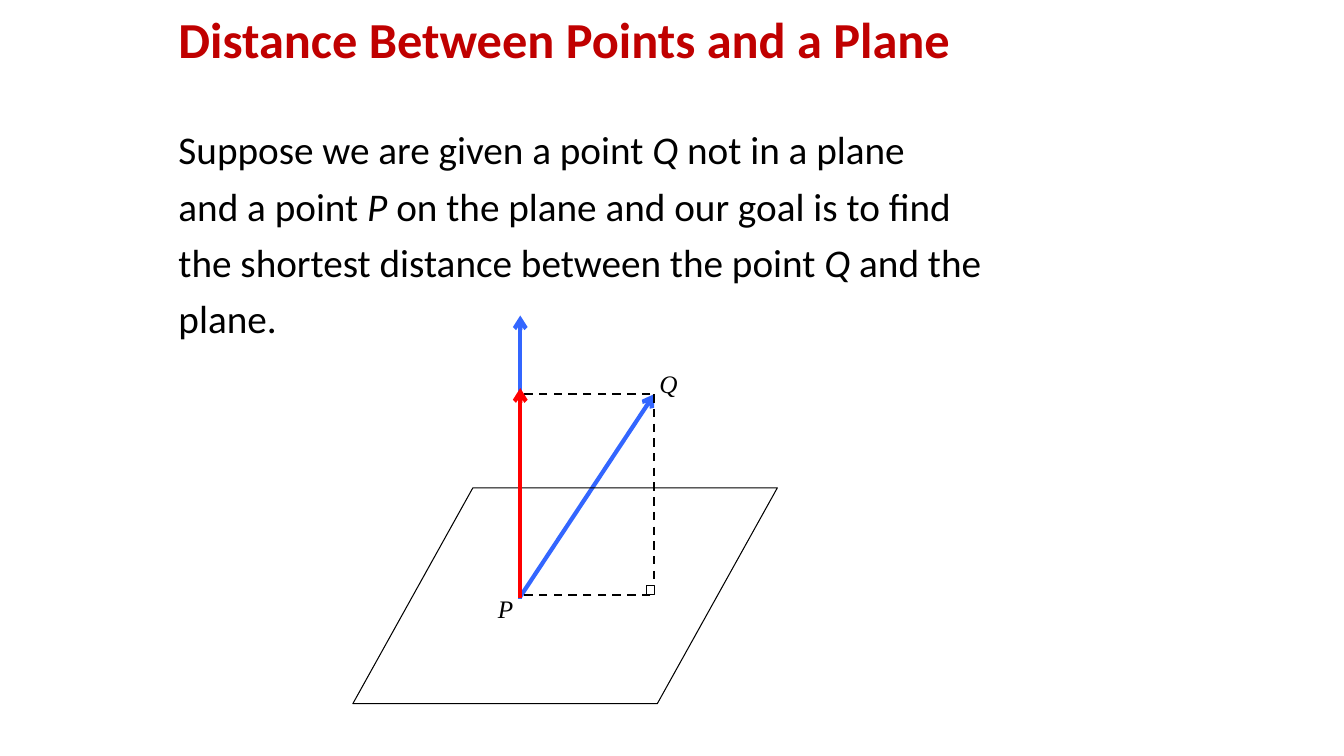
from lxml import etree
from pptx import Presentation
from pptx.dml.color import RGBColor
from pptx.enum.dml import MSO_LINE
from pptx.enum.shapes import MSO_CONNECTOR, MSO_SHAPE
from pptx.enum.text import MSO_ANCHOR, MSO_AUTO_SIZE, PP_ALIGN
from pptx.oxml.ns import qn
from pptx.util import Inches, Pt

TITLE = "Distance Between Points and a Plane"
# Each line is a list of (text, is a point name)
BODY = [
    [("Suppose we are given a point ", False), ("Q", True), (" not in a plane", False)],
    [("and a point ", False), ("P", True), (" on the plane and our goal is to find", False)],
    [("the shortest distance between the point ", False), ("Q", True), (" and the", False)],
    [("plane.", False)],
]
BLACK, WHITE, RED, BLUE, DARK_RED = "000000", "FFFFFF", "FF0000", "3366FF", "C00000"

P_X, P_Y = 5.16, 5.92
Q_X, Q_Y = 6.49, 3.91
DASH_END_X = 6.45
PLANE = (3.5, 4.84, 4.21, 2.14)
RIGHT_ANGLE = (6.41, 5.81, 0.08, 0.09)
POINT_LABELS = [("P", (4.84, 5.84, 0.21, 0.3)), ("Q", (6.44, 3.61, 0.32, 0.3))]


def color(hex_string):
    return RGBColor.from_string(hex_string)


def inches(values):
    return [Inches(value) for value in values]


def place(shape, box):
    shape.left, shape.top, shape.width, shape.height = inches(box)


def style_font(font, name, size, hex_string):
    font.name, font.size = name, Pt(size)
    font.color.rgb = color(hex_string)


def add_line(start, end, hex_string, width):
    line = diagram.add_connector(MSO_CONNECTOR.STRAIGHT, *inches(start + end))
    line.line.color.rgb = color(hex_string)
    line.line.width = Pt(width)
    etree.SubElement(line._element.spPr, qn("a:effectLst"))
    return line


def add_vector(start, end, hex_string):
    vector = add_line(start, end, hex_string, 3)
    etree.SubElement(vector.line._get_or_add_ln(), qn("a:tailEnd"), type="arrow")


def add_dashed(start, end):
    add_line(start, end, BLACK, 1.5).line.dash_style = MSO_LINE.DASH


def add_outline(preset, box):
    outline = diagram.add_shape(preset, *inches(box))
    outline.shadow.inherit = False
    outline.fill.background()
    outline.line.color.rgb = color(BLACK)
    outline.line.width = Pt(0.75)
    return outline


prs = Presentation()
prs.slide_width, prs.slide_height = Inches(13.33), Inches(7.5)
slide = prs.slides.add_slide(prs.slide_layouts[1])

title = slide.shapes.title
place(title, (1.67, 0, 10, 0.83))
title.text_frame.text = TITLE
title.text_frame.vertical_anchor = MSO_ANCHOR.MIDDLE
title.text_frame.auto_size = MSO_AUTO_SIZE.NONE
heading = title.text_frame.paragraphs[0]
heading.alignment = PP_ALIGN.LEFT
heading.line_spacing = 0.9
style_font(heading.font, "Calibri", 36, DARK_RED)
heading.font.bold = True

body = slide.placeholders[1]
place(body, (1.67, 1.25, 10, 6.25))
body.text_frame.auto_size = MSO_AUTO_SIZE.NONE
for index, line_parts in enumerate(BODY):
    paragraph = body.text_frame.paragraphs[0] if index == 0 else body.text_frame.add_paragraph()
    paragraph.line_spacing = 0.9
    paragraph.space_before = Pt(10)
    style_font(paragraph.font, "Calibri", 28, BLACK)
    properties = paragraph._p.get_or_add_pPr()
    properties.set("marL", str(Inches(0.25)))
    properties.set("indent", str(-Inches(0.25)))
    properties.insert_element_before(
        etree.Element(qn("a:buNone")), "a:tabLst", "a:defRPr", "a:extLst")
    for text, is_point in line_parts:
        run = paragraph.add_run()
        run.text = text
        run.font.italic = is_point

diagram = slide.shapes.add_group_shape().shapes
add_vector((P_X, 5.94), (P_X, 3.13), BLUE)
add_vector((P_X, P_Y), (Q_X, Q_Y), BLUE)
plane = add_outline(MSO_SHAPE.PARALLELOGRAM, PLANE)
plane.adjustments[0] = 0.556
add_dashed((DASH_END_X, Q_Y), (P_X, Q_Y))
add_dashed((Q_X, Q_Y), (Q_X, P_Y))
add_vector((P_X, 5.93), (P_X, 3.85), RED)
right_angle = add_outline(MSO_SHAPE.RECTANGLE, RIGHT_ANGLE)
right_angle.fill.solid()
right_angle.fill.fore_color.rgb = color(WHITE)
add_dashed((DASH_END_X, 5.9), (P_X, 5.9))

for point, box in POINT_LABELS:
    label = diagram.add_textbox(*inches(box)).text_frame
    label.word_wrap = True
    label.margin_right = 0
    label.text = point
    style_font(label.paragraphs[0].font, "Times New Roman", 18, BLACK)
    label.paragraphs[0].font.italic = True

prs.save("out.pptx")
